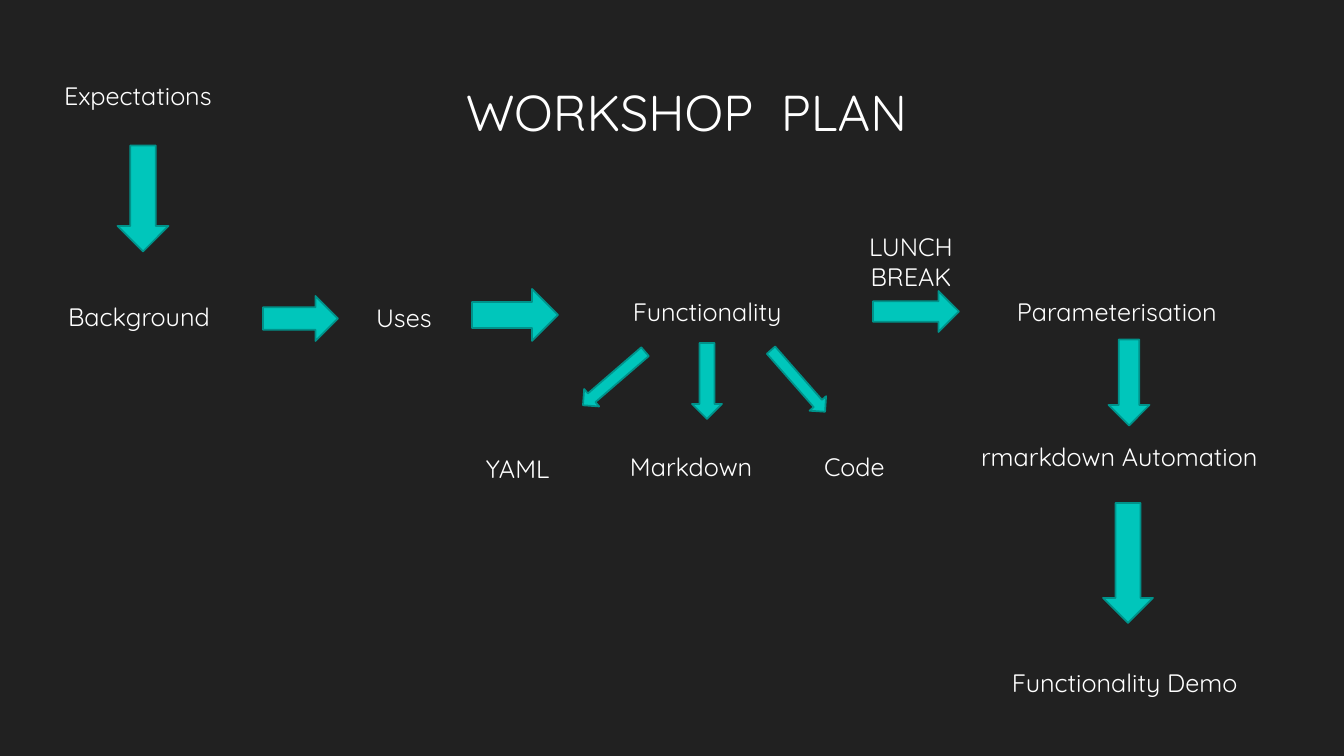
from pptx import Presentation, util as u
from pptx.dml.color import RGBColor
from pptx.enum import shapes, text

PX_PER_INCH = 100.8
FONT = "Quicksand"
LABEL_HEIGHT = 40
COLOURS = {"background": "212121", "arrow": "00C6BB", "outline": "00928A", "text": "FFFFFF"}
ALIGN = text.PP_ALIGN


def px(length):
    """Turn pixels into EMU."""
    return u.Inches(length / PX_PER_INCH)


def colour(name):
    """Look up a named colour."""
    return RGBColor.from_string(COLOURS[name])


def add_label(page, origin, words, left, top, width, height=LABEL_HEIGHT,
              size=18, align=ALIGN.LEFT, inset=10):
    """Place a text label relative to the origin of its region."""
    x, y = origin
    box = page.shapes.add_textbox(px(x + left), px(y + top), px(width), px(height))
    frame = box.text_frame
    frame.word_wrap = True
    frame.auto_size = text.MSO_AUTO_SIZE.SHAPE_TO_FIT_TEXT
    frame.margin_left = frame.margin_right = px(inset)
    para = frame.paragraphs[0]
    para.text = words
    para.alignment = align
    span = para.runs[0]
    span.font.name = FONT
    span.font.size = u.Pt(size)
    span.font.color.rgb = colour("text")


def add_arrow(page, origin, left, top, width, height, rotation=0):
    """Place a block arrow relative to the origin of its region."""
    x, y = origin
    arrow = page.shapes.add_shape(shapes.MSO_SHAPE.RIGHT_ARROW, px(x + left), px(y + top),
                                  px(width), px(height))
    arrow.rotation = rotation
    arrow.shadow.inherit = False
    arrow.fill.solid()
    arrow.fill.fore_color.rgb = colour("arrow")
    arrow.line.color.rgb = colour("outline")
    arrow.line.width = u.Pt(1.25)


def add_title(page, origin):
    """Draw the slide title."""
    add_label(page, origin, "WORKSHOP  PLAN", 0, 0, 832, 71, size=36, align=ALIGN.RIGHT)


def add_opening(page, origin):
    """Draw the steps from expectations to uses."""
    for arrow in ((36, 98, 106, 51, 90), (209, 221, 75, 45), (418, 214, 86, 52)):
        add_arrow(page, origin, *arrow)
    for label in (("Expectations", 0, 0, 176),
                  ("Background", 4, 221, 221),
                  ("Uses", 312, 222, 86)):
        add_label(page, origin, *label)


def add_functionality(page, origin):
    """Draw functionality and its three branches."""
    for arrow in ((97, 76, 82, 23, 139.2), (193, 75, 76, 30, 90), (281, 79, 82, 22, 48.7)):
        add_arrow(page, origin, *arrow)
    for label in (("Functionality", 147, 0, 192),
                  ("YAML", 0, 157, 99),
                  ("Markdown", 144, 155, 168),
                  ("Code", 338, 155, 238)):
        add_label(page, origin, *label)


def add_afternoon(page, origin):
    """Draw the lunch break and the steps that follow it."""
    for arrow in ((58, 65, 86, 41), (271, 136, 86, 41, 90), (253, 312, 120, 50, 90)):
        add_arrow(page, origin, *arrow)
    for label in (("Parameterisation", 192, 65, 257),
                  ("rmarkdown Automation", 156, 210, 373),
                  ("Functionality Demo", 187, 436, 342)):
        add_label(page, origin, *label)
    add_label(page, origin, "LUNCH BREAK", 0, 0, 192, 71, align=ALIGN.CENTER, inset=20)


def main():
    """Build and save the workshop plan."""
    deck = Presentation()
    deck.slide_width, deck.slide_height = px(1344), px(756)
    page = deck.slides.add_slide(deck.slide_layouts[6])
    page.background.fill.solid()
    page.background.fill.fore_color.rgb = colour("background")
    add_opening(page, (54, 75))
    add_functionality(page, (476, 291))
    add_afternoon(page, (815, 226))
    add_title(page, (85, 76))
    deck.save("out.pptx")


if __name__ == "__main__":
    main()
